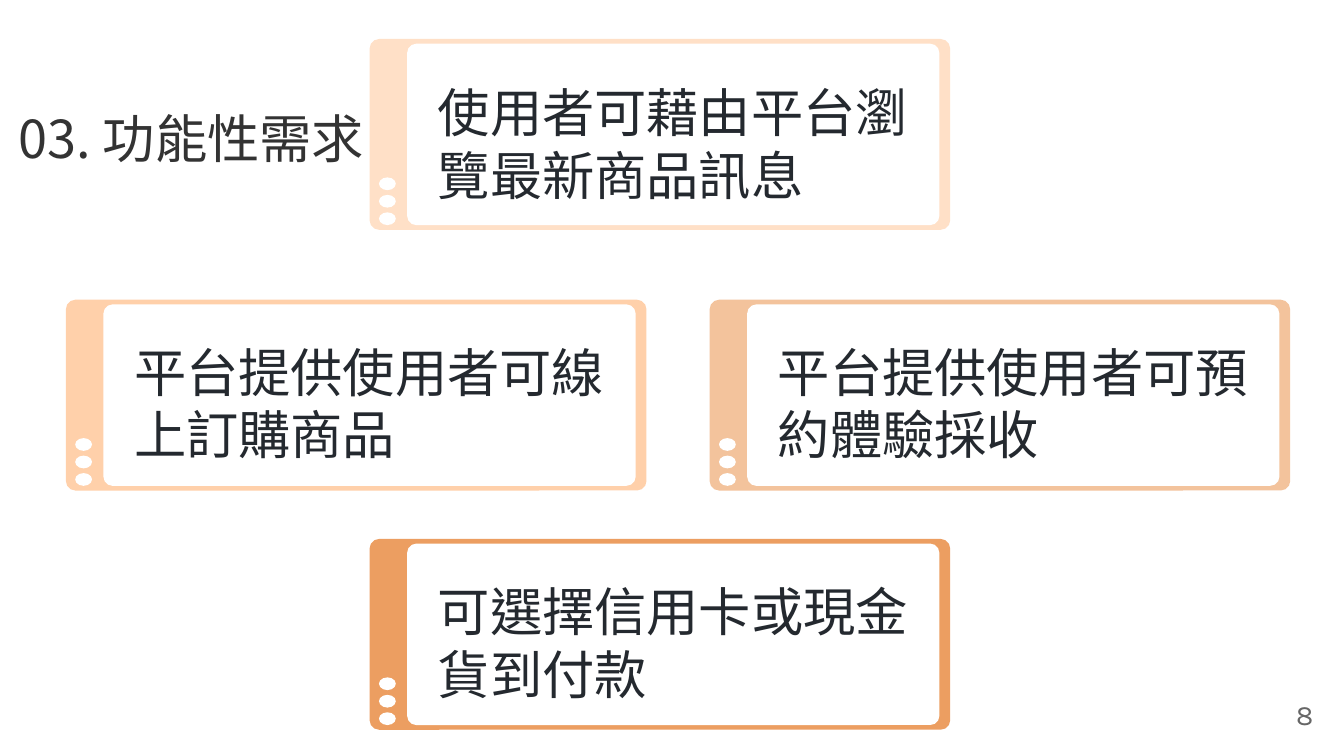
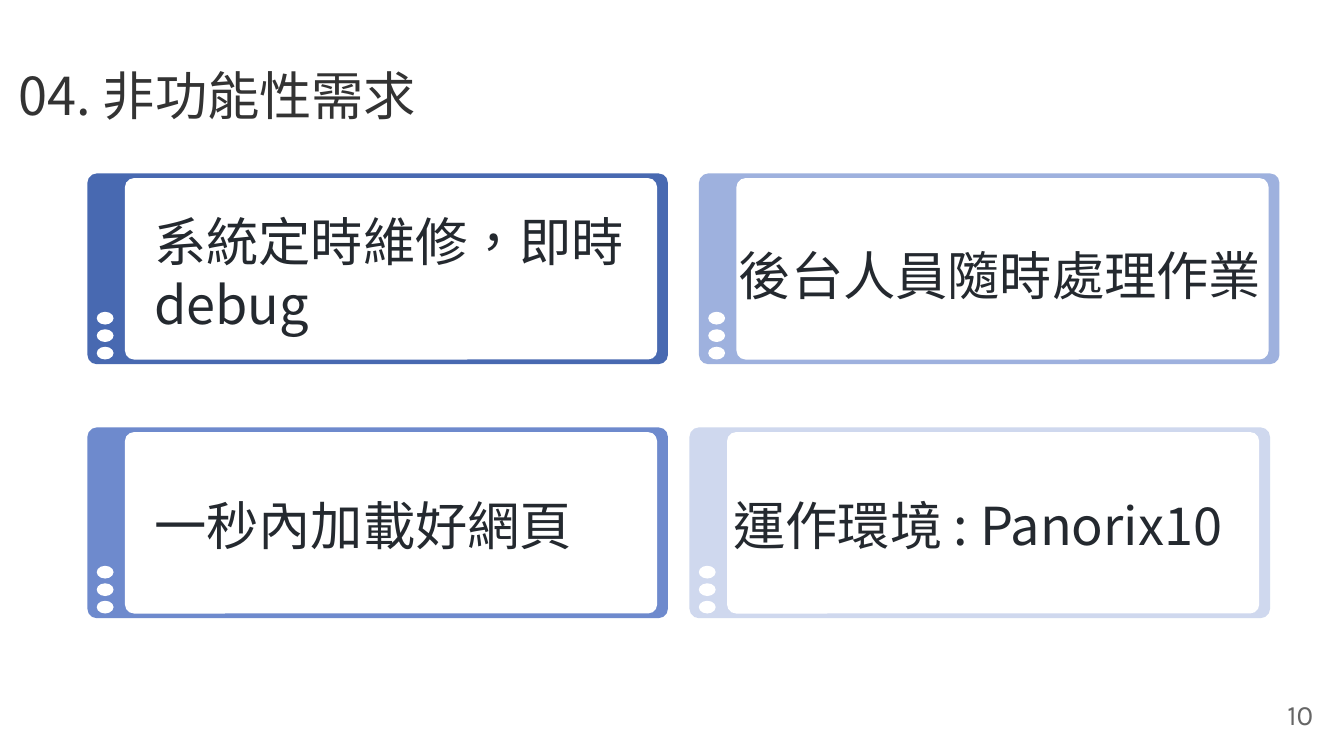
from pptx import Presentation
from pptx.dml.color import RGBColor
from pptx.enum.shapes import MSO_SHAPE as Shape
from pptx.enum.text import MSO_ANCHOR as Anchor, MSO_AUTO_SIZE as AutoSize, PP_ALIGN as Align
from pptx.oxml.ns import qn
from pptx.util import Emu, Pt

PX = 4572  # 200 px to the inch
SLIDE_SIZE = (2000, 1125)

BODY_FONT, NUMBER_FONT = "Noto Sans CJK SC", "Karla"
LANGUAGE = "zh-TW"
WHITE, TITLE_COLOR, CARD_INK, NUMBER_COLOR = "FFFFFF", "333333", "24292F", "666666"

CARD = (864, 284)
PANEL_INSET = (56, 7)
PANEL = (792, 270)
DOT = (25, 19)
DOT_START, DOT_PITCH, DOT_COUNT = (14, 206), 26, 3
NUMBER_BOX = (1854, 1020, 120, 86)
LINE_HEIGHT, TEXT_MARGIN = 94, 20

# Each card: wording, colour, corner, text offset from the corner, text width, lines
SLIDES = [
    {
        "title": "03. 功能性需求",
        "title_box": (8, 138, 584, 126),
        "number": "8",
        "cards": [
            ("使用者可藉由平台瀏覽最新商品訊息", "FFE0C7", (550, 58), (82, 52), 740, 2),
            ("平台提供使用者可線上訂購商品", "FFD0AA", (98, 446), (82, 50), 740, 2),
            ("可選擇信用卡或現金貨到付款", "EC9E61", (550, 802), (82, 50), 740, 2),
            ("平台提供使用者可預約體驗採收", "F3C39C", (1056, 446), (82, 50), 740, 2),
        ],
    },
    {
        "title": "04. 非功能性需求",
        "title_box": (8, 74, 662, 126),
        "number": "10",
        "cards": [
            ("系統定時維修，即時debug", "4869B1", (130, 258), (80, 44), 740, 2),
            ("後台人員隨時處理作業", "9EB1DE", (1040, 258), (40, 94), 906, 1),
            ("運作環境 : Panorix10", "CFD8EE", (1026, 636), (46, 88), 968, 1),
            ("一秒內加載好網頁", "6E8ACD", (130, 636), (80, 88), 740, 1),
        ],
    },
]


def px(*lengths):
    return [Emu(length * PX) for length in lengths]


def rgb(color):
    return RGBColor.from_string(color)


def write(frame, wording, size, font_name, color, align=Align.LEFT):
    frame.word_wrap = True
    paragraph = frame.paragraphs[0]
    paragraph.alignment = align
    run = paragraph.add_run()
    run.text = wording
    font = run.font
    font.size, font.name = Pt(size), font_name
    font.color.rgb = rgb(color)
    properties = run._r.get_or_add_rPr()
    properties.set("lang", LANGUAGE)
    east_asian = properties.makeelement(qn("a:ea"), {"typeface": font_name})
    properties.find(qn("a:latin")).addnext(east_asian)


def set_margins(frame, margin):
    frame.margin_left = frame.margin_right = Emu(margin * PX)
    frame.margin_top = frame.margin_bottom = Emu(margin * PX)


def add_filled(shapes, preset, left, top, size, color, rounding=None):
    part = shapes.add_shape(preset, *px(left, top, *size))
    part.shadow.inherit = False
    part.fill.solid()
    part.fill.fore_color.rgb = rgb(color)
    part.line.fill.background()
    if rounding is not None:
        part.adjustments[0] = rounding


def add_card(slide, wording, color, corner, text_offset, text_width, lines):
    left, top = corner
    shapes = slide.shapes.add_group_shape().shapes
    add_filled(shapes, Shape.ROUNDED_RECTANGLE, left, top, CARD, color, 0.05)
    add_filled(shapes, Shape.ROUNDED_RECTANGLE, left + PANEL_INSET[0],
               top + PANEL_INSET[1], PANEL, WHITE, 0.05)
    for row in range(DOT_COUNT):
        add_filled(shapes, Shape.OVAL, left + DOT_START[0],
                   top + DOT_START[1] + row * DOT_PITCH, DOT, WHITE)
    label = shapes.add_textbox(*px(left + text_offset[0], top + text_offset[1],
                                   text_width, lines * LINE_HEIGHT + TEXT_MARGIN))
    write(label.text_frame, wording, 28, BODY_FONT, CARD_INK)
    label.text_frame.auto_size = AutoSize.SHAPE_TO_FIT_TEXT


def add_title(slide, wording, box):
    title = slide.shapes.title
    title.left, title.top, title.width, title.height = px(*box)
    frame = title.text_frame
    set_margins(frame, 20)
    frame.vertical_anchor = Anchor.TOP
    frame.auto_size = AutoSize.NONE
    write(frame, wording, 28, BODY_FONT, TITLE_COLOR)
    slide.shapes._spTree.append(title._element)  # bring in front of the cards


def add_number(slide, number):
    frame = slide.shapes.add_textbox(*px(*NUMBER_BOX)).text_frame
    set_margins(frame, 20)
    frame.vertical_anchor = Anchor.MIDDLE
    write(frame, number, 15, NUMBER_FONT, NUMBER_COLOR, Align.RIGHT)


def main():
    deck = Presentation()
    deck.slide_width, deck.slide_height = px(*SLIDE_SIZE)
    title_only = deck.slide_layouts[5]
    for content in SLIDES:
        slide = deck.slides.add_slide(title_only)
        slide.background.fill.solid()
        slide.background.fill.fore_color.rgb = rgb(WHITE)
        add_number(slide, content["number"])
        for card in content["cards"]:
            add_card(slide, *card)
        add_title(slide, content["title"], content["title_box"])
    deck.save("out.pptx")


if __name__ == "__main__":
    main()
